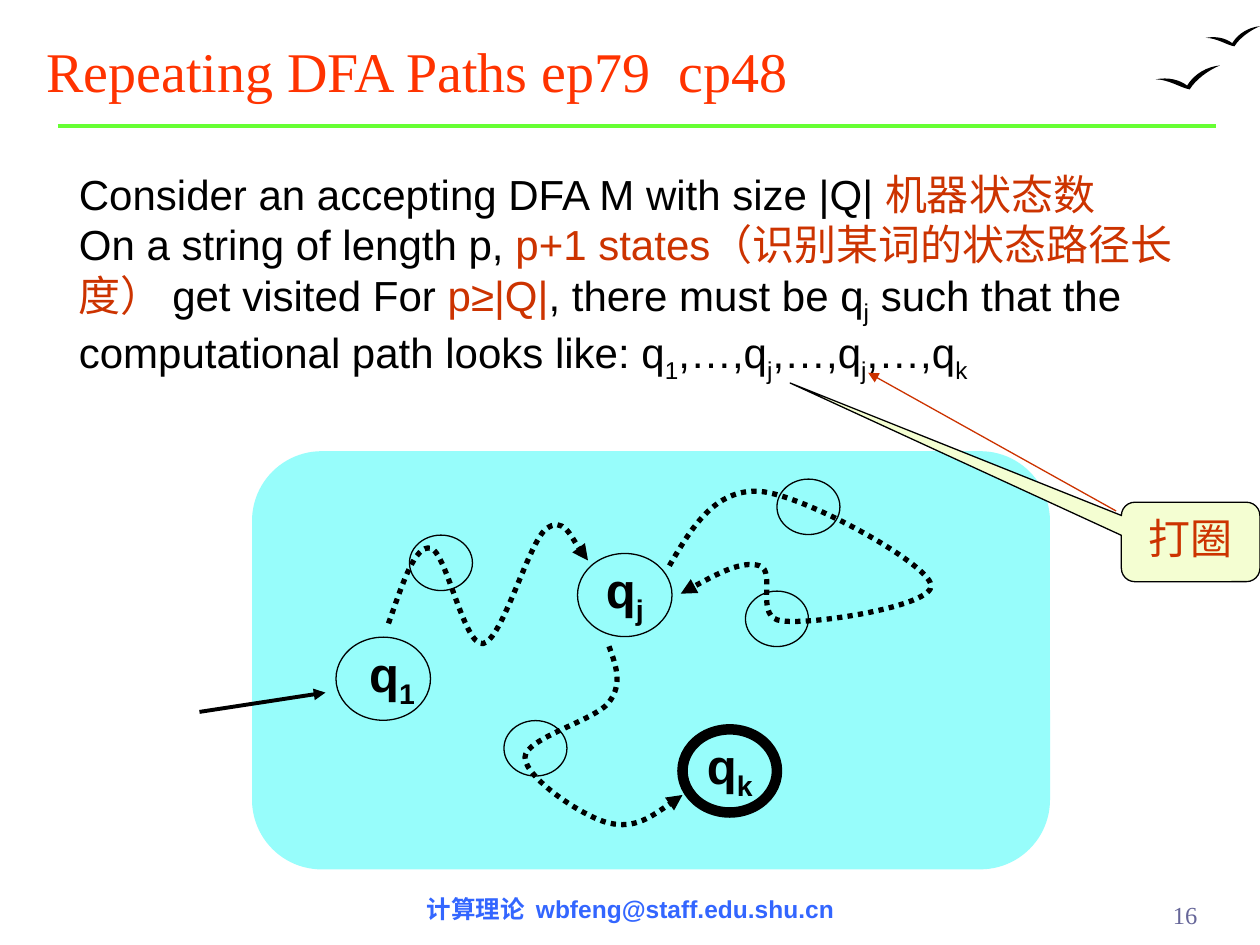
import pptx
import pptx.dml.color
import pptx.enum.dml
import pptx.enum.shapes
import pptx.enum.text
import pptx.oxml
import pptx.oxml.ns
import pptx.util

Pt = pptx.util.Pt
qn = pptx.oxml.ns.qn
SHAPE = pptx.enum.shapes.MSO_SHAPE
ALIGN = pptx.enum.text.PP_ALIGN
ANCHOR = pptx.enum.text.MSO_ANCHOR

COLORS = {
    "black": "000000", "title": "FF3300", "accent": "CC3300",
    "rule": "66FF33", "footer": "3366FF", "number": "666699",
    "panel": "97FDFB", "callout": "F4FED2",
}


def rgb(name):
    return pptx.dml.color.RGBColor.from_string(COLORS[name])


def add_child(parent, tag, **attrs):
    child = parent.makeelement(qn(tag), attrs)
    parent.append(child)
    return child


def style(sp, fill=None, line=None, width=0.75, alpha=None):
    sp.shadow.inherit = False
    if fill:
        sp.fill.solid()
        sp.fill.fore_color.rgb = rgb(fill)
        if alpha:
            clr = sp.element.spPr.find(qn("a:solidFill"))[0]
            add_child(clr, "a:alpha", val=str(alpha * 1000))
    else:
        sp.fill.background()
    if line:
        sp.line.color.rgb = rgb(line)
        sp.line.width = Pt(width)
    else:
        sp.line.fill.background()


def add_arrowhead(sp):
    add_child(sp.element.spPr.find(qn("a:ln")), "a:tailEnd", type="triangle")


def add_preset(s, kind, box, **look):
    sp = s.shapes.add_shape(kind, *map(Pt, box))
    style(sp, **look)
    return sp


def add_line(s, start, end, color, width, arrow=True):
    cn = s.shapes.add_connector(pptx.enum.shapes.MSO_CONNECTOR.STRAIGHT,
                                *map(Pt, start + end))
    cn.line.color.rgb = rgb(color)
    cn.line.width = Pt(width)
    if arrow:
        add_arrowhead(cn)
    add_child(cn.element.spPr, "a:effectLst")


def add_curve(s, x, y, points, close=False):
    """Cubic curve: a start point, then three points for each segment."""
    pts = [(Pt(x + px), Pt(y + py)) for px, py in points]
    builder = s.shapes.build_freeform(*pts[0], scale=1.0)
    builder.add_line_segments(pts[1:], close=close)
    sp = builder.convert_to_shape()
    outline = next(sp.element.iter(qn("a:path")))
    steps = outline.findall(qn("a:lnTo"))
    for i in range(0, len(steps), 3):
        bezier = outline.makeelement(qn("a:cubicBezTo"), {})
        steps[i].addprevious(bezier)
        for step in steps[i:i + 3]:
            bezier.append(step[0])
            outline.remove(step)
    return sp


def format_run(r, size, color, font="Arial", bold=False, sub=False):
    r.font.size = Pt(size)
    r.font.name = font
    r.font.bold = bold
    r.font.color.rgb = rgb(color)
    if sub:
        r.font._element.set("baseline", "-25000")


def add_text(s, box, text, size, color, font="Arial", bold=False,
             align=ALIGN.LEFT, anchor=ANCHOR.TOP):
    tf = s.shapes.add_textbox(*map(Pt, box)).text_frame
    tf.word_wrap = True
    tf.vertical_anchor = anchor
    tf.text = text
    p = tf.paragraphs[0]
    p.alignment = align
    format_run(p.runs[0], size, color, font, bold)
    return tf


def add_bird(s, x, y, w, h):
    outline = [(0, .58), (.2, .48), (.37, .6), (.49, .84), (.6, .35), (.8, .05),
               (1, 0), (.82, .2), (.62, .6), (.53, 1), (.4, .95), (.2, .58), (0, .58)]
    sp = add_curve(s, x, y, [(w * px, h * py) for px, py in outline], close=True)
    style(sp, fill="black")


def add_header(s, x, y, w, h):
    add_bird(s, x + 669.6, y, 31, 11.5)
    add_bird(s, x + 641, y + 22.4, 36.7, 13.7)
    add_line(s, (x + 13.7, y + 57), (x + 675.4, y + 57), "rule", 2.25, arrow=False)
    add_text(s, (x, y, w, h), "Repeating DFA Paths ep79  cp48", 32, "title",
             "Times New Roman", anchor=ANCHOR.BOTTOM)


def add_body(s, x, y, w, h):
    # Each run is its text, its colour and whether it is a subscript
    red, black = "accent", "black"
    lines = [
        [("Consider an accepting DFA M with size |Q| ", black, False),
         ("机器状态数", red, False)],
        [("On a string of length p, ", black, False),
         ("p+1 states（识别某词的状态路径长度） ", red, False),
         ("get visited For", black, False), (" p≥|Q|", red, False),
         (", there must be q", black, False), ("j", black, True),
         (" such that the ", black, False), None,
         ("computational path looks like: q", black, False), ("1", black, True)],
    ]
    for sub in "jjk":
        lines[1] += [(",…,q", black, False), (sub, black, True)]

    tf = s.shapes.add_textbox(*map(Pt, (x, y, w, h))).text_frame
    tf.word_wrap = True
    for i, line in enumerate(lines):
        p = tf.add_paragraph() if i else tf.paragraphs[0]
        for part in line:
            if part is None:
                p.add_line_break()
                continue
            r = p.add_run()
            r.text, color, sub = part
            format_run(r, 24, color, sub=sub)


def add_state(s, x, y, name, width=0.75, shift=0):
    w, h = 54, 47.5
    add_preset(s, SHAPE.OVAL, (x, y, w, h), fill="panel", line="black", width=width)
    # The label box is wide enough to keep the subscript on the same line
    tf = add_text(s, (x + shift, y, w, 45), "q", 28, "black", bold=True,
                  align=ALIGN.CENTER)
    r = tf.paragraphs[0].add_run()
    r.text = name
    format_run(r, 28, "black", bold=True, sub=True)


def add_automaton(s, x, y, w, h):
    add_preset(s, SHAPE.FLOWCHART_ALTERNATE_PROCESS, (x, y, w, h), fill="panel")
    # Named states and the start arrow
    add_state(s, x + 48, y + 106.3, "1", shift=5)
    add_state(s, x + 246, y + 159, "k", width=6)
    add_state(s, x + 186, y + 58.5, "j")
    add_line(s, (x - 30, y + 149), (x + 42, y + 138), "black", 2.25)
    # Unnamed states along the way
    for dx, dy in [(90, 48), (300, 16), (282, 80), (144, 154)]:
        add_preset(s, SHAPE.OVAL, (x + dx, y + dy, 36, 31.7),
                   fill="panel", line="black", alpha=50)
    # Dotted walks: q1 to qj, the loop at qj, qj to qk
    walks = [
        [(78, 98.5), (86, 76), (93, 53.5), (102, 55.5), (111, 57), (121, 111.5),
         (132, 110), (143, 108), (158, 52.5), (168, 44.5), (178, 37), (188, 59),
         (192, 62.5)],
        [(238.5, 65.5), (251.5, 43), (265, 21.5), (290, 23), (315.5, 25), (386, 64),
         (388, 76.5), (390, 88.5), (320, 99.5), (303, 97), (286.5, 96), (300, 68.5),
         (290, 65.5), (280, 62.5), (262, 72), (245, 81.5)],
        [(204, 111.5), (208, 122.5), (212, 133), (204, 143.5), (196, 154), (156, 164),
         (156, 175), (156, 186.5), (189, 209), (204, 212.5), (219, 216), (232.5, 206),
         (246, 196.5)],
    ]
    for walk in walks:
        sp = add_curve(s, x, y, walk)
        style(sp, line="black", width=3)
        sp.line.dash_style = pptx.enum.dml.MSO_LINE.ROUND_DOT
        add_arrowhead(sp)


def add_callout(s, x, y, w, h):
    sp = add_preset(s, SHAPE.ROUNDED_RECTANGULAR_CALLOUT, (x, y, w, h),
                    fill="callout", line="black")
    for i, value in enumerate((-2.89, -2, 0.17)):
        sp.adjustments[i] = value
    tf = sp.text_frame
    tf.vertical_anchor = ANCHOR.TOP
    tf.text = "打圈"
    p = tf.paragraphs[0]
    p.alignment = ALIGN.CENTER
    format_run(p.runs[0], 24, "accent")
    add_line(s, (x - 3, y + 5), (x - 144.7, y - 74), "accent", 0.75)


def add_footer(s, x, y, w, h):
    add_text(s, (x, y, 312, h), "计算理论  wbfeng@staff.edu.shu.cn", 14, "footer",
             bold=True, align=ALIGN.CENTER)
    add_text(s, (x + w - 62.6, y + 3.6, 62.6, h), "16", 14, "number",
             "Times New Roman", align=ALIGN.RIGHT)


def main():
    prs = pptx.Presentation()
    prs.slide_width, prs.slide_height = Pt(720), Pt(540)
    s = prs.slides.add_slide(prs.slide_layouts[6])
    add_header(s, 19.4, 15, 676, 48)
    add_automaton(s, 144, 257.8, 456, 239)
    add_body(s, 38, 92.7, 645, 130)
    add_callout(s, 640.8, 287, 79.2, 45.4)
    add_footer(s, 204.2, 507.2, 487.2, 24)
    prs.save("out.pptx")


if __name__ == "__main__":
    main()
